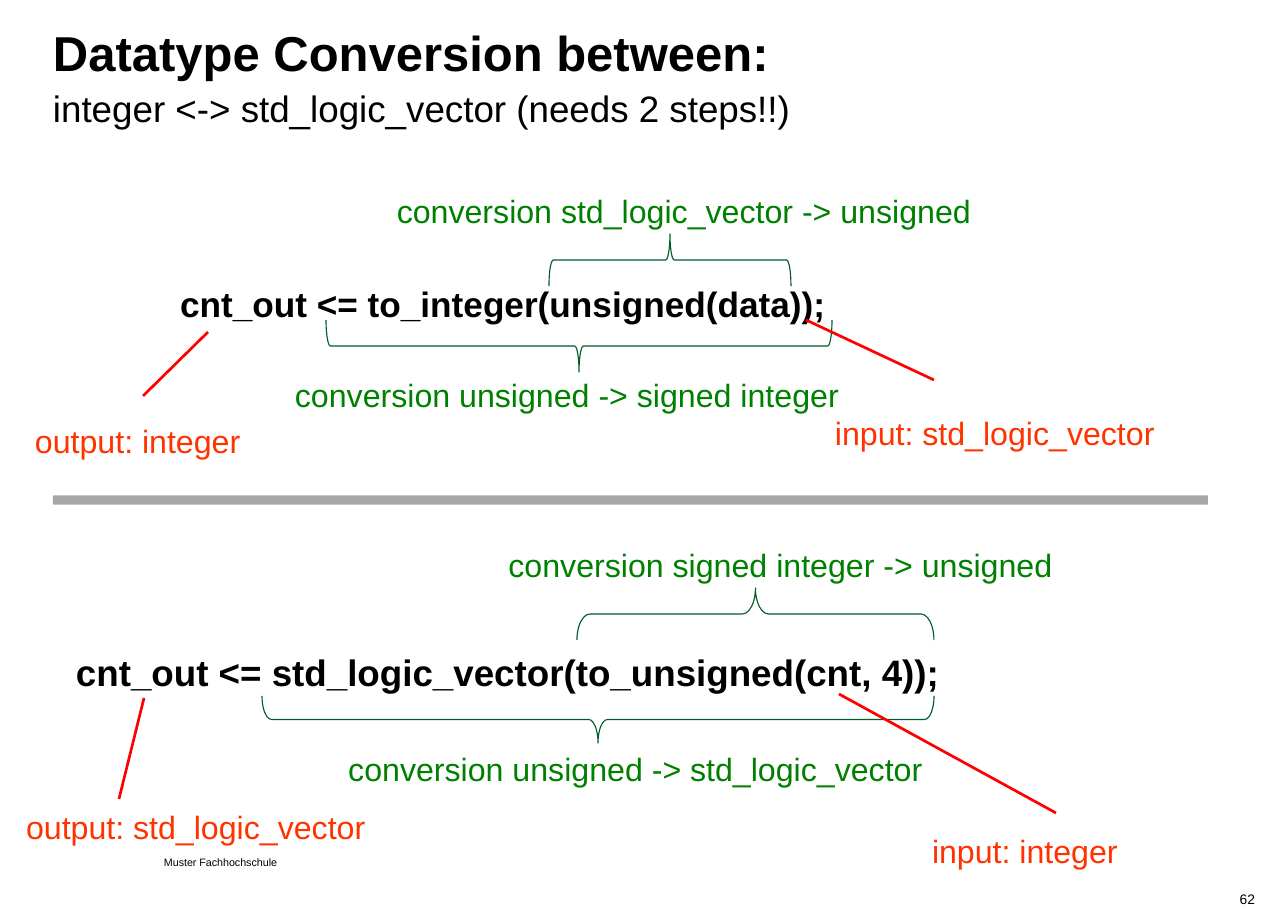
from lxml.etree import SubElement
from pptx import Presentation
from pptx.dml.color import RGBColor
from pptx.enum.shapes import MSO_CONNECTOR, MSO_SHAPE
from pptx.enum.text import PP_ALIGN
from pptx.oxml.ns import qn
from pptx.util import Emu, Pt

EMU_PER_PIXEL = 914400 / 110.2
COLOURS = {"text": "000000", "conversion": "008000", "port": "FF3300",
           "pointer": "FF0000", "brace": "005C2A"}


def px(length):
    """Turn pixels into EMU."""
    return Emu(round(length * EMU_PER_PIXEL))


def colour(name):
    """Look up a named colour."""
    return RGBColor.from_string(COLOURS[name])


class ConversionSlide:
    """Hold the style and the current slide."""
    font = "Arial"
    line_spacing = Pt(32)
    space_after = Pt(16)
    label_size = 21

    def __init__(self, presentation):
        """Add a blank slide."""
        self.shapes = presentation.slides.add_slide(presentation.slide_layouts[6]).shapes

    def text(self, box, lines, tint="text", align=PP_ALIGN.LEFT, inset=(0, 0),
             wrap=True, spacing=line_spacing, after=space_after):
        """Add a paragraph whose lines are (words, size, bold)."""
        frame = self.shapes.add_textbox(*map(px, box)).text_frame
        frame.word_wrap = wrap
        frame.margin_left = frame.margin_right = px(inset[0])
        frame.margin_top = frame.margin_bottom = px(inset[1])
        paragraph = frame.paragraphs[0]
        paragraph.alignment = align
        paragraph.line_spacing = spacing
        paragraph.space_after = after
        for index, (words, size, bold) in enumerate(lines):
            if index:
                paragraph.add_line_break()
            run = paragraph.add_run()
            run.text = words
            run.font.name = self.font
            run.font.size = Pt(size)
            run.font.bold = bold
            run.font.color.rgb = colour(tint)

    def code(self, box, words, size):
        """Add a bold line of code."""
        self.text(box, [(words, size, True)], inset=(12, 7))

    def label(self, box, words, tint, align):
        """Add an unwrapped label."""
        self.text(box, [(words, self.label_size, False)], tint, align, (12, 7), wrap=False)

    def conversion(self, box, words):
        """Name a conversion step."""
        self.label(box, "conversion " + words, "conversion", PP_ALIGN.CENTER)

    def port(self, box, words):
        """Name an input or output with its type."""
        self.label(box, words, "port", PP_ALIGN.LEFT)

    def brace(self, box, rotation, curve=0.083):
        """Add a brace that fills the box once it is rotated."""
        left, top, width, height = box
        shift = (width - height) / 2
        shape = self.shapes.add_shape(MSO_SHAPE.RIGHT_BRACE, px(left + shift),
                                      px(top - shift), px(height), px(width))
        shape.rotation = rotation
        shape.adjustments[0] = curve
        shape.shadow.inherit = False
        shape.fill.background()
        shape.line.color.rgb = colour("brace")
        shape.line.width = Pt(0.75)

    def line(self, ends, tint="pointer", width=1.75, opacity=100):
        """Add a straight line, opacity in percent."""
        connector = self.shapes.add_connector(MSO_CONNECTOR.STRAIGHT, *map(px, ends))
        connector.line.color.rgb = colour(tint)
        connector.line.width = Pt(width)
        properties = connector._element.spPr
        SubElement(properties, qn("a:effectLst"))
        if opacity < 100:
            tone = properties.find(".//" + qn("a:srgbClr"))
            SubElement(tone, qn("a:alpha")).set("val", str(opacity * 1000))


presentation = Presentation()
presentation.slide_width, presentation.slide_height = px(1288), px(911)
slide = ConversionSlide(presentation)

slide.text((53, 32, 1022, 109),
           [("Datatype Conversion between:", 32, True),
            ("integer <-> std_logic_vector (needs 2 steps!!)", 24, False)])
slide.line((53, 500, 1208, 500), "text", 6, 34)

for box, words, size in [
        ((168, 269, 821, 63), "cnt_out <= to_integer(unsigned(data));", 23),
        ((64, 638, 1178, 57), "cnt_out <= std_logic_vector(to_unsigned(cnt, 4));", 24)]:
    slide.code(box, words, size)

for box, words in [
        ((382, 174, 604, 63), "std_logic_vector -> unsigned"),
        ((282, 358, 570, 61), "unsigned -> signed integer"),
        ((494, 528, 573, 57), "signed integer -> unsigned"),
        ((335, 732, 601, 57), "unsigned -> std_logic_vector")]:
    slide.conversion(box, words)

for box, words in [
        ((23, 404, 233, 57), "output: integer"),
        ((823, 396, 347, 57), "input: std_logic_vector"),
        ((14, 790, 367, 57), "output: std_logic_vector"),
        ((920, 814, 213, 57), "input: integer")]:
    slide.port(box, words)

slide.brace((549, 234, 242, 52), 270)
slide.brace((326, 320, 506, 52), 90)
slide.brace((577, 588, 357, 52), 270, 0.25)
slide.brace((262, 696, 672, 47), 90, 0.2)

for ends in [(208, 332, 143, 396), (806, 320, 934, 380),
             (144, 698, 119, 799), (839, 694, 1056, 813)]:
    slide.line(ends)

slide.text((164, 858, 145, 11), [("Muster Fachhochschule", 7, False)],
           spacing=Pt(7), after=Pt(7))
slide.text((1110, 891, 145, 17), [("62", 9, False)], align=PP_ALIGN.RIGHT,
           spacing=1.0, after=Pt(0))

presentation.save("out.pptx")
